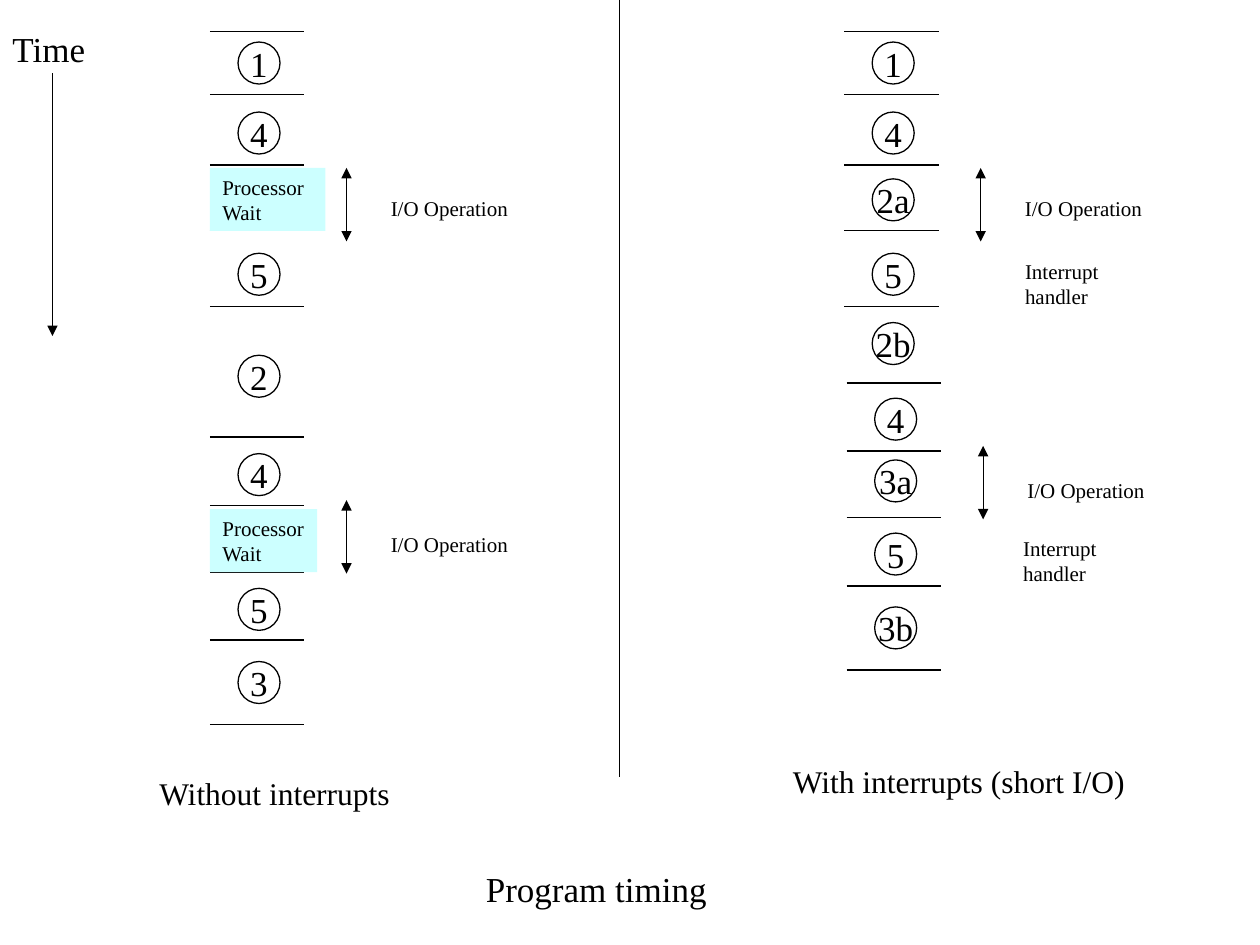
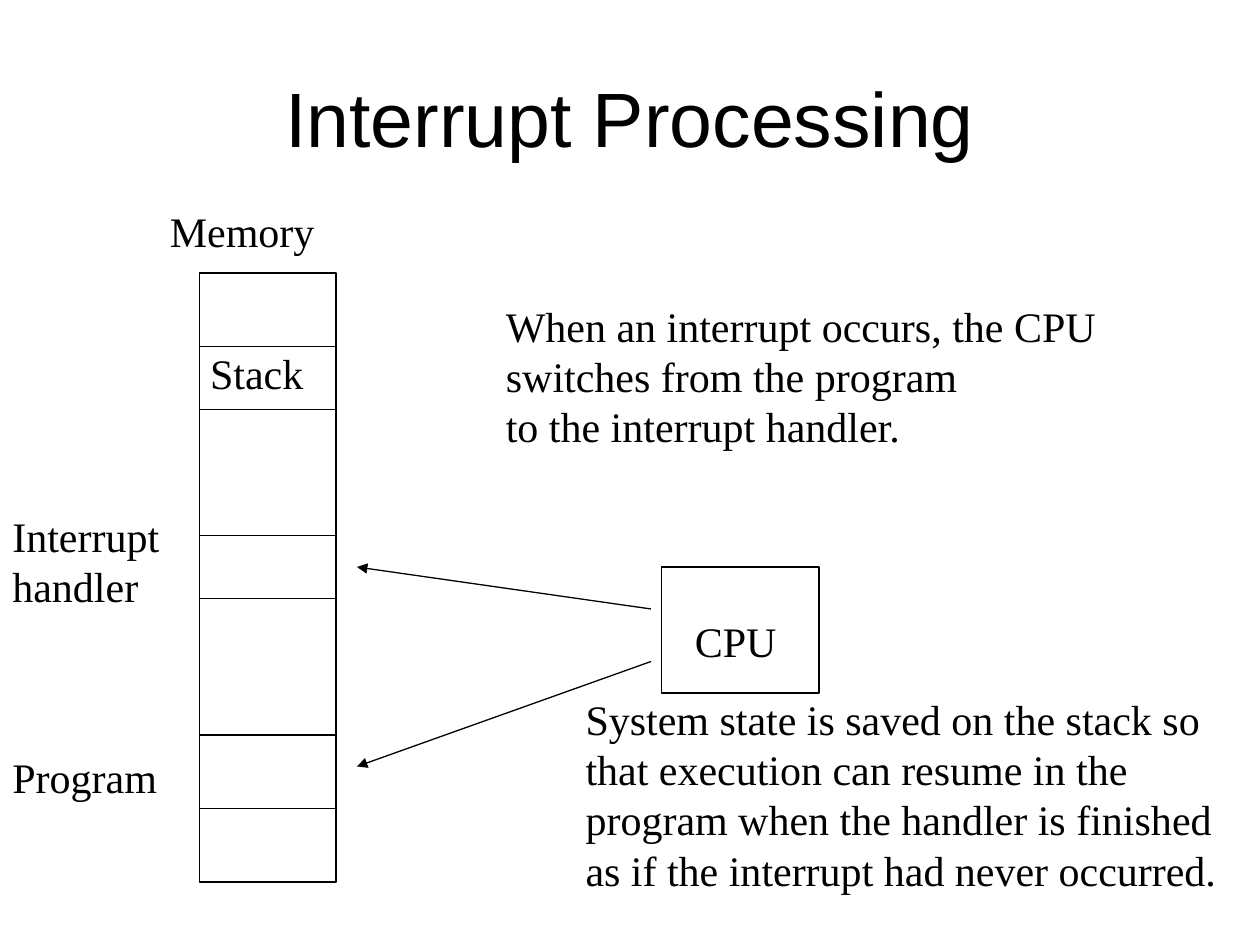
from lxml.etree import SubElement
from pptx import Presentation
from pptx.dml.color import RGBColor
from pptx.enum.shapes import MSO_CONNECTOR as Connector, MSO_SHAPE as Shape
from pptx.enum.text import MSO_ANCHOR as Anchor, PP_ALIGN as Align
from pptx.oxml.ns import qn
from pptx.util import Pt

# Shared style
BLACK = RGBColor(0x00, 0x00, 0x00)
WAIT_FILL = RGBColor(0xCC, 0xFF, 0xFF)
BODY_FONT = "Times New Roman"
TITLE_FONT = "Arial"
LINE_WIDTH = 0.75

# Timeline measures
RULE_WIDTH = 54
STEP_LEFT, STEP_SIZE = 16, 24
ARROW_LEFT, ARROW_LENGTH = 78, 42
WAIT_HEIGHT = 36
NOTE_LEFT, NOTE_HEIGHT = 96.25, 21.6
NOTE_WIDTHS = {"I/O Operation": 81.4, "Interrupt handler": 95}


def write(shape, text, size, font=BODY_FONT, align=Align.LEFT, wrap=False):
    text_frame = shape.text_frame
    text_frame.text = text
    text_frame.word_wrap = wrap
    for paragraph in text_frame.paragraphs:
        paragraph.alignment = align
        for run in paragraph.runs:
            run.font.name = font
            run.font.size = Pt(size)
            run.font.color.rgb = BLACK


def add_label(slide, left, top, width, height, text, size, **style):
    box = slide.shapes.add_textbox(Pt(left), Pt(top), Pt(width), Pt(height))
    write(box, text, size, **style)
    return box


def add_outline(slide, kind, left, top, width, height, fill=None):
    """Add a shape that has either a black outline or a plain fill."""
    shape = slide.shapes.add_shape(kind, Pt(left), Pt(top), Pt(width), Pt(height))
    shape.shadow.inherit = False
    if fill is None:
        shape.fill.background()
        shape.line.color.rgb = BLACK
        shape.line.width = Pt(LINE_WIDTH)
    else:
        shape.fill.solid()
        shape.fill.fore_color.rgb = fill
        shape.line.fill.background()
    return shape


def add_line(slide, start, end, arrowheads=()):
    """Draw a line; arrowheads lists the ends ("headEnd", "tailEnd") to mark."""
    points = [Pt(value) for value in (*start, *end)]
    connector = slide.shapes.add_connector(Connector.STRAIGHT, *points)
    connector.line.color.rgb = BLACK
    connector.line.width = Pt(LINE_WIDTH)
    properties = connector._element.spPr
    for end_name in arrowheads:
        SubElement(properties.find(qn("a:ln")), qn(f"a:{end_name}"), type="triangle")
    SubElement(properties, qn("a:effectLst"))


def add_timeline(slide, left, top, rules, steps, transfers, notes, waits=()):
    """Draw a run of program steps; all offsets count down from top."""
    for offset in rules:
        y = top + offset
        add_line(slide, (left, y), (left + RULE_WIDTH, y))

    # Processor waits
    for offset, width in waits:
        wait = add_outline(slide, Shape.RECTANGLE, left, top + offset,
                           width, WAIT_HEIGHT, WAIT_FILL)
        wait.text_frame.vertical_anchor = Anchor.TOP
        write(wait, "Processor\nWait", 12)

    # Numbered steps
    for number, offset in steps:
        circle = add_outline(slide, Shape.OVAL, left + STEP_LEFT, top + offset,
                             STEP_SIZE, STEP_SIZE)
        circle.text_frame.vertical_anchor = Anchor.MIDDLE
        write(circle, number, 20, align=Align.CENTER)

    # Transfers and their notes
    x = left + ARROW_LEFT
    for offset in transfers:
        y = top + offset
        add_line(slide, (x, y), (x, y + ARROW_LENGTH), ("headEnd", "tailEnd"))
    for text, offset, shift in notes:
        add_label(slide, left + NOTE_LEFT + shift, top + offset,
                  NOTE_WIDTHS[text], NOTE_HEIGHT, text, 12)


def add_time_axis(slide, left, top):
    add_label(slide, left, top, 57, 31.5, "Time", 20)
    add_line(slide, (left + 30, top + 30), (left + 30, top + 180), ("tailEnd",))


def build_timing_slide(slide):
    add_line(slide, (354, 0), (354, 444))
    add_time_axis(slide, 0, 12)
    opening_rules = [0, 36, 76.3, 113.8, 157]

    # Without interrupts
    add_timeline(
        slide, 120, 18,
        rules=opening_rules + [231.8, 270.7, 308.9, 347.8, 396],
        steps=[("1", 6), ("4", 46), ("5", 126.7), ("2", 185),
               ("4", 241.2), ("5", 318.2), ("3", 360)],
        transfers=[78, 267.8],
        notes=[("I/O Operation", 90, 0), ("I/O Operation", 282, 0)],
        waits=[(78, 66), (273, 61.2)])
    add_label(slide, 84, 439, 147, 29, "Without interrupts", 18)

    # With interrupts: first transfer, then second
    add_timeline(
        slide, 482.4, 18,
        rules=opening_rules,
        steps=[("1", 6), ("4", 46), ("2a", 84.2), ("5", 126.7), ("2b", 166.3)],
        transfers=[78],
        notes=[("I/O Operation", 90, 0), ("Interrupt handler", 126, 0)])
    add_timeline(
        slide, 483.8, 218.8,
        rules=[0, 39, 77, 116, 164],
        steps=[("4", 8.7), ("3a", 44), ("5", 85.8), ("3b", 128)],
        transfers=[36],
        notes=[("I/O Operation", 50.5, 0), ("Interrupt handler", 83.6, -2.5)])
    add_label(slide, 446, 432, 235, 29, "With interrupts (short I/O)", 18, wrap=True)

    add_label(slide, 270.5, 492, 140.5, 31.5, "Program timing", 20)


def add_memory(slide, left, top, width, height):
    add_label(slide, left - 24, top - 42, 97, 36, "Memory", 24)
    add_outline(slide, Shape.RECTANGLE, left, top, width, height)
    for offset in (42, 78, 150, 186, 264, 306):
        add_line(slide, (left, top + offset), (left + width, top + offset))
    add_label(slide, left - 1, top + 39, 67.5, 36, "Stack", 24)
    add_label(slide, 0, top + 132, 102, 65, "Interrupt handler", 24, wrap=True)
    add_label(slide, 0, top + 270, 108, 36, "Program", 24, wrap=True)


def add_cpu(slide, left, top, width, height):
    add_outline(slide, Shape.RECTANGLE, left, top, width, height)
    add_label(slide, left + 12, top + 24, 72, 36, "CPU", 24, wrap=True)
    # Control goes to the program or to the handler
    for start, end in ((54, 114), (24, 0)):
        add_line(slide, (left - 6, top + start), (left - 174, top + end), ("tailEnd",))


def build_processing_slide(slide):
    title = add_label(slide, 36, 21.6, 648, 90, "Interrupt Processing", 44,
                      font=TITLE_FONT, align=Align.CENTER, wrap=True)
    title.text_frame.vertical_anchor = Anchor.MIDDLE
    add_memory(slide, 114, 156, 78, 348)
    add_cpu(slide, 378, 324, 90, 72)

    # Explanations
    add_label(slide, 282, 168, 357, 94,
              "When an interrupt occurs, the CPU\n"
              "switches from the program\n"
              "to the interrupt handler.", 24)
    add_label(slide, 327.5, 392.5, 384, 122,
              "System state is saved on the stack so that execution can resume "
              "in the program when the handler is finished as if the interrupt "
              "had never occurred.", 24, wrap=True)


def main():
    presentation = Presentation()
    presentation.slide_width = Pt(720)
    presentation.slide_height = Pt(540)
    blank_layout = presentation.slide_layouts[6]
    for build in (build_timing_slide, build_processing_slide):
        build(presentation.slides.add_slide(blank_layout))
    presentation.save("out.pptx")


if __name__ == "__main__":
    main()
